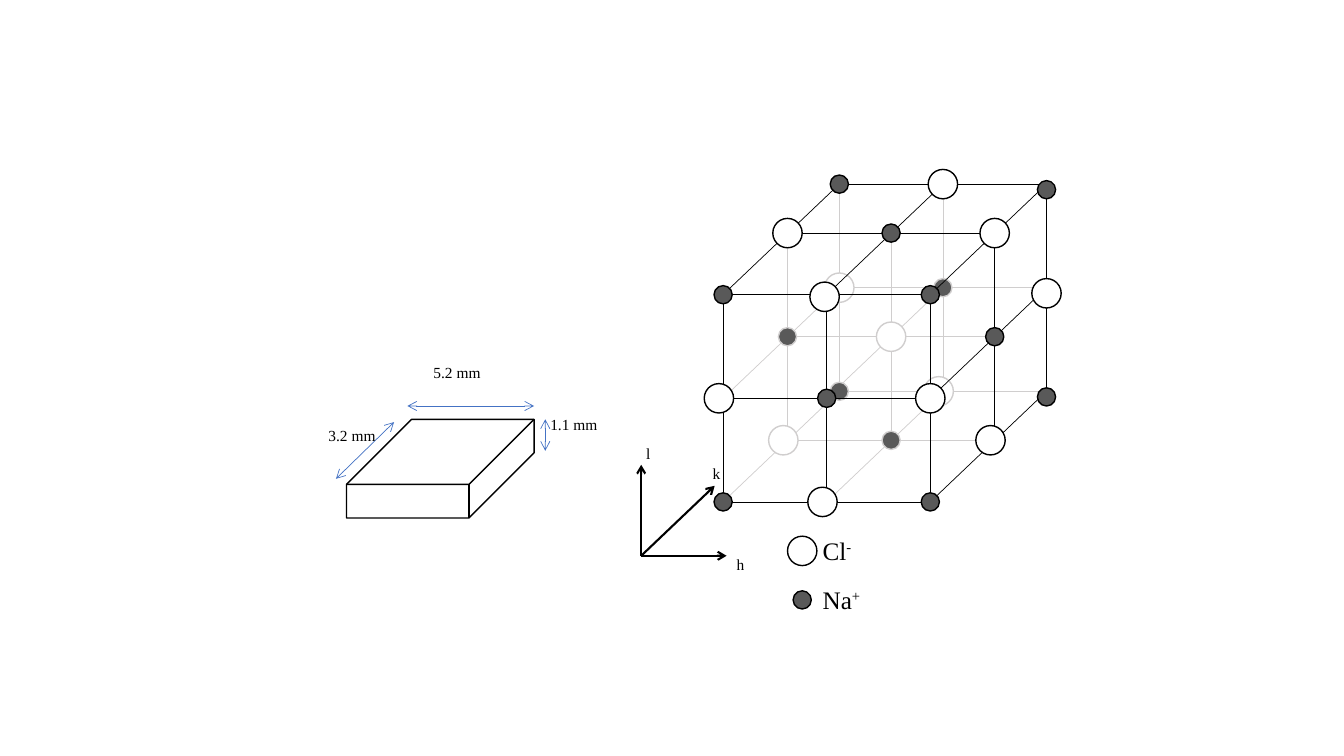
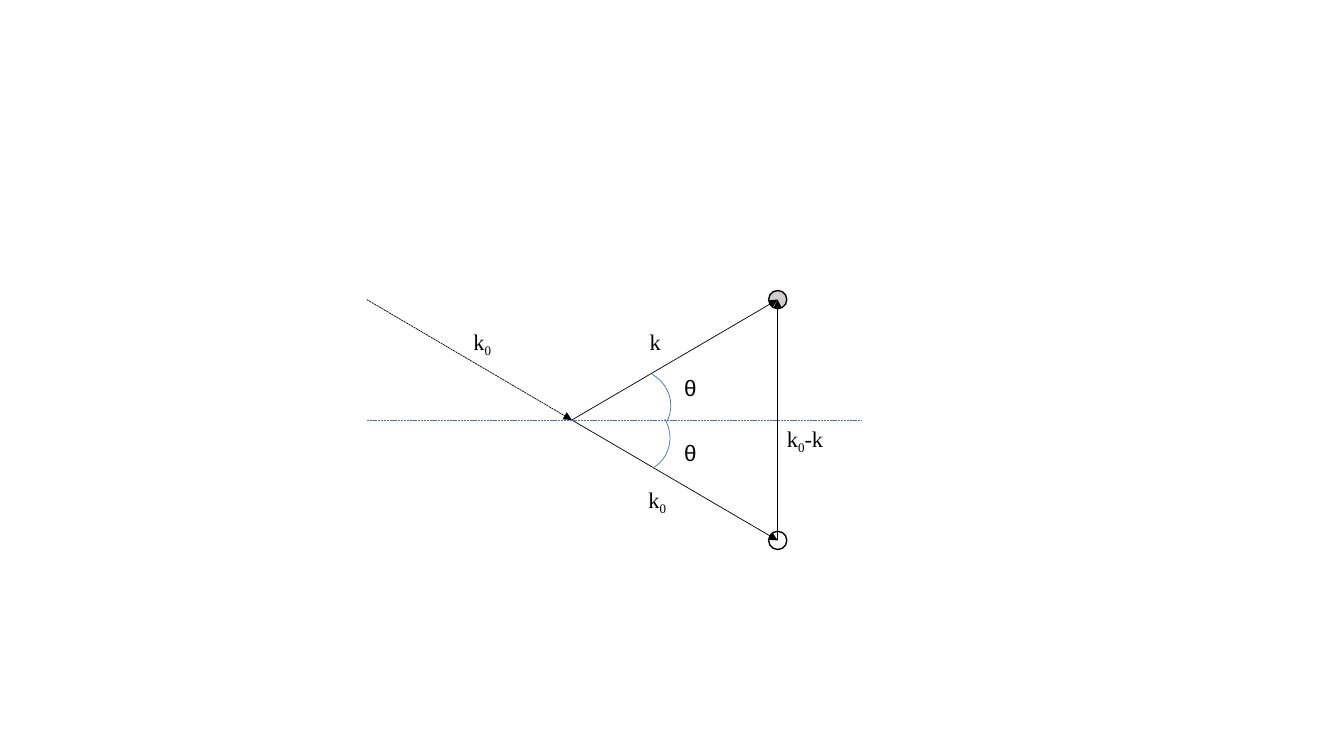
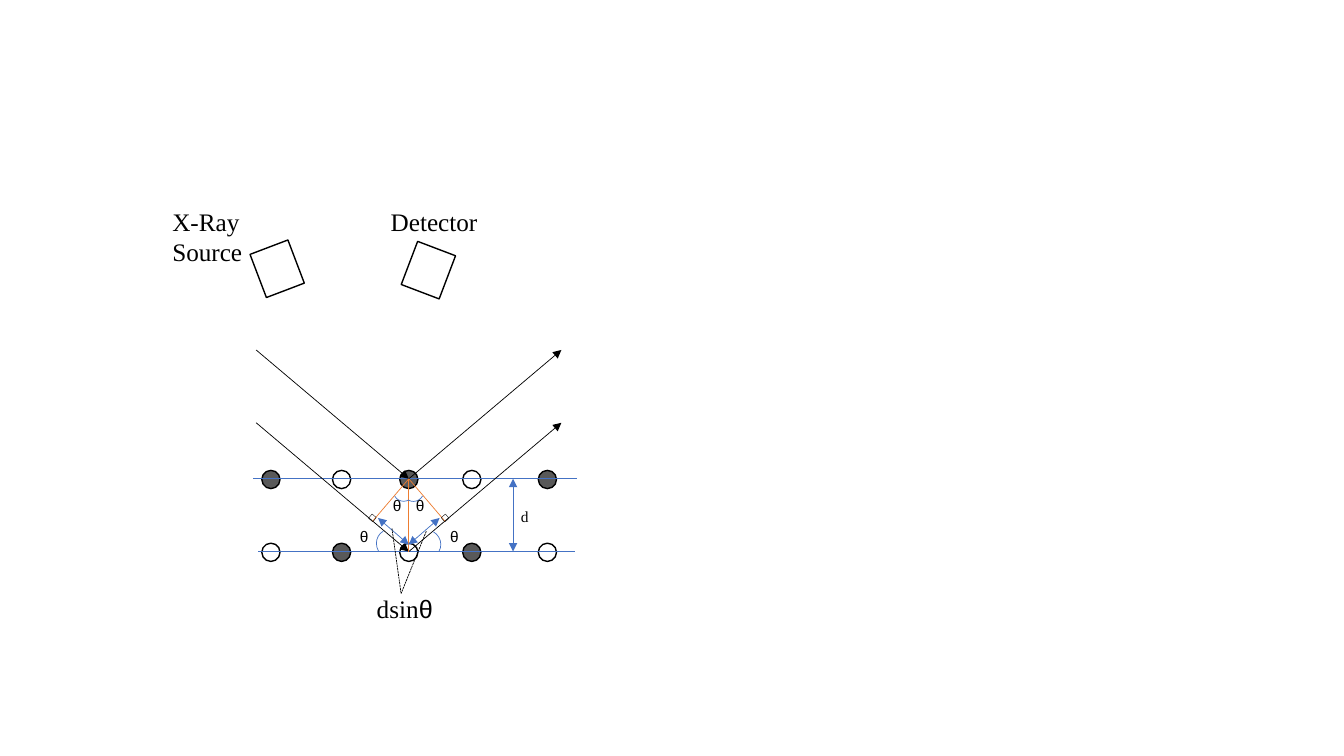
from itertools import product

from lxml import etree
from pptx import Presentation
from pptx.dml.color import RGBColor
from pptx.enum.dml import MSO_LINE
from pptx.enum.shapes import MSO_CONNECTOR, MSO_SHAPE
from pptx.enum.text import MSO_AUTO_SIZE
from pptx.oxml.ns import qn
from pptx.util import Pt

BLACK = RGBColor(0x00, 0x00, 0x00)
WHITE = RGBColor(0xFF, 0xFF, 0xFF)
DARK = RGBColor(0x59, 0x59, 0x59)
FAINT = RGBColor(0xD0, 0xCE, 0xCE)
BLUE = RGBColor(0x44, 0x72, 0xC4)
ORANGE = RGBColor(0xED, 0x7D, 0x31)

STRAIGHT = MSO_CONNECTOR.STRAIGHT
DASHED = MSO_LINE.SQUARE_DOT
CUBE, ELLIPSE, RECT, ARC = (MSO_SHAPE.CUBE, MSO_SHAPE.OVAL,
                            MSO_SHAPE.RECTANGLE, MSO_SHAPE.ARC)
FIT_TEXT = MSO_AUTO_SIZE.SHAPE_TO_FIT_TEXT

SMALL, MEDIUM, LARGE = 11, 16, 18
NA_SIZE, CL_SIZE = 13, 21


class Sketch:
    """Holds the drawing style and the slide being drawn."""

    serif, greek = "Times New Roman", "Arial"
    thin, outline = 0.5, 1

    def __init__(self):
        self.prs = Presentation()
        self.prs.slide_width, self.prs.slide_height = Pt(960), Pt(540)
        self.slide = None

    def new_slide(self):
        self.slide = self.prs.slides.add_slide(self.prs.slide_layouts[6])

    def shape(self, kind, x, y, w, h, fill=None, color=BLACK, width=outline,
              rotation=0):
        shape = self.slide.shapes.add_shape(kind, Pt(x), Pt(y), Pt(w), Pt(h))
        shape.shadow.inherit = False
        shape.rotation = rotation
        if fill is None:
            shape.fill.background()
        else:
            shape.fill.solid()
            shape.fill.fore_color.rgb = fill
        shape.line.color.rgb = color
        shape.line.width = Pt(width)
        return shape

    def ball(self, center, fill, size=NA_SIZE, color=BLACK):
        x, y = center
        self.shape(ELLIPSE, x - size / 2, y - size / 2, size, size, fill, color)

    def arc(self, x, y, w, h, rotation):
        self.shape(ARC, x, y, w, h, color=BLUE, width=self.thin,
                   rotation=rotation)

    def line(self, start, end, color=BLACK, width=thin, head=None, tail=None,
             dashed=False):
        line = self.slide.shapes.add_connector(
            STRAIGHT, *(Pt(v) for v in (*start, *end)))
        line.line.color.rgb = color
        line.line.width = Pt(width)
        if dashed:
            line.line.dash_style = DASHED
        properties = line._element.spPr
        for tag, arrow in (("a:headEnd", head), ("a:tailEnd", tail)):
            if arrow:
                etree.SubElement(properties.get_or_add_ln(), qn(tag), type=arrow)
        etree.SubElement(properties, qn("a:effectLst"))

    def label(self, x, y, w, size, text, *scripts, height=None):
        """Write text, followed by (text, baseline) runs."""
        height = height or size * 1.2 * (text.count("\n") + 1) + 7.2
        box = self.slide.shapes.add_textbox(Pt(x), Pt(y), Pt(w), Pt(height))
        frame = box.text_frame
        frame.word_wrap = True
        frame.auto_size = FIT_TEXT
        frame.text = text
        for script, baseline in scripts:
            run = frame.paragraphs[0].add_run()
            run.text = script
            if baseline:
                run.font._element.set("baseline", str(baseline * 1000))
        for paragraph in frame.paragraphs:
            for run in paragraph.runs:
                run.font.size = Pt(size)
                run.font.name = self.greek if run.text == "θ" else self.serif
                run.font.color.rgb = BLACK


# Rock-salt lattice: node (h, l, k) counts right, down and back
DEPTH = ((0, 0), (46, -44), (83, -79))
NUDGE = {(2, 0, 2): (0, 4), (2, 1, 2): (0, 4), (2, 2, 2): (0, 4),
         (0, 1, 0): (-3, 0), (1, 0, 0): (-1.5, 1.5), (1, 2, 0): (-3, 0),
         (0, 2, 1): (-3, 0), (2, 2, 1): (-3, 0), (1, 2, 2): (-3, 0)}


def node(h, l, k):
    dx, dy = DEPTH[k]
    return 516.5 + 74 * h + dx, 210.5 + 74 * l + dy


def is_hidden(h, l, k):
    return h < 2 and l > 0 and k > 0


def draw_lattice(sketch):
    edges = []
    for axis, a, b in product(range(3), repeat=3):
        edges.append([(a, b)[:axis] + (step,) + (a, b)[axis:]
                      for step in range(3)])
    nodes = sorted(product(range(3), repeat=3), key=lambda n: -n[2])
    for hidden in (True, False):
        color = FAINT if hidden else BLACK
        for start, middle, end in edges:
            if is_hidden(*middle) == hidden:
                sketch.line(node(*start), node(*end), color)
        for ion in nodes:
            if is_hidden(*ion) == hidden:
                (x, y), (dx, dy) = node(*ion), NUDGE.get(ion, (0, 0))
                fill, size = ((WHITE, CL_SIZE) if sum(ion) % 2
                              else (DARK, NA_SIZE))
                sketch.ball((x + dx, y + dy), fill, size, color)


def crystal_slide(sketch):
    sketch.new_slide()
    # Crystal with its measures
    crystal = sketch.shape(CUBE, 247.5, 299.5, 134, 70.5)
    crystal.adjustments[0] = 0.66
    for start, end, text, x, y in (
            ((389.5, 322), (389.5, 299.5), "1.1 mm", 386, 293),
            ((381.5, 290), (291, 290), "5.2 mm", 302.5, 255.5),
            ((281.5, 301.5), (240, 342), "3.2 mm", 227.5, 301)):
        sketch.line(start, end, BLUE, head="arrow", tail="arrow")
        sketch.label(x, y, 96.5, SMALL, text, height=35)
    # Axes
    for tip, text, x, y in (((519, 397), "h", 519, 393),
                            ((510.5, 347), "k", 502, 328),
                            ((458, 332), "l", 454.5, 314)):
        sketch.line((458, 397), tip, width=1.5, tail="arrow")
        sketch.label(x, y, 68, SMALL, text)
    draw_lattice(sketch)
    # Legend
    for y, fill, size, ion, charge in ((393.5, WHITE, CL_SIZE, "Cl", "-"),
                                       (428.5, DARK, NA_SIZE, "Na", "+")):
        sketch.ball((573, y), fill, size)
        sketch.label(580.5, y - 15, 81, LARGE, ion, (charge, 30))


def wave_vector_slide(sketch):
    sketch.new_slide()
    origin, scattered, incident = (408.5, 300), (555.5, 214), (555.5, 386)
    sketch.ball(scattered, FAINT)
    sketch.ball(incident, WHITE)
    # Vectors and mirror plane
    sketch.line((262, 214), origin, tail="triangle", dashed=True)
    for start, end in ((origin, incident), (incident, scattered),
                       (origin, scattered)):
        sketch.line(start, end, tail="triangle")
    sketch.line((262, 300), (616, 300), BLUE, dashed=True)
    # Angles
    for arc_y, rotation, theta_y in ((287, 60, 310), (264, 30, 264)):
        sketch.arc(427.5, arc_y, 52, 49.5, rotation)
        sketch.label(481.5, theta_y, 68, MEDIUM, "θ")
    # Vector names
    zero = ("0", -25)
    for x, y, *scripts in ((331, 230.5, zero), (456, 343.5, zero),
                           (457, 230.5), (555, 300, zero, ("-k", 0))):
        sketch.label(x, y, 68, MEDIUM, "k", *scripts)


def bragg_slide(sketch):
    sketch.new_slide()
    center, upper, lower = 292, 342, 394
    top, bottom = (center, upper), (center, lower)
    # Lattice planes
    for row, y in enumerate((upper, lower)):
        for column, x in enumerate((193.5, 244, center, 337, 391)):
            sketch.ball((x, y + 0.5), WHITE if (row + column) % 2 else DARK)
    sketch.line((181, upper), (412, upper), BLUE)
    sketch.line((184.5, lower), (410.5, lower), BLUE)
    # Source and detector
    sketch.label(116, 143.5, 67, LARGE, "X-Ray\nSource")
    sketch.label(272, 144, 81, LARGE, "Detector")
    sketch.shape(RECT, 183.5, 175.5, 29, 33, WHITE, rotation=339.2)
    sketch.shape(RECT, 291.5, 176.5, 29, 33, WHITE, rotation=20.8)
    # Beams
    for y in (upper, lower):
        sketch.line((center - 109, y - 92), (center, y), tail="triangle")
        sketch.line((center, y), (center + 109, y - 92), tail="triangle")
    # Path difference, mirrored about the centre
    sketch.line(bottom, top, ORANGE)
    for side in (-1, 1):
        sketch.line((center + 26 * side, 372.5), top, ORANGE)
        sketch.shape(RECT, center + 26 * side - 2, 368, 4, 4, width=0.25,
                     rotation=-40.2 * side % 360)
        sketch.line((center + 22 * side, 370), (center, 389), BLUE,
                    head="triangle", tail="triangle")
    # Angles
    for x, y, w, h, rotation in ((268.5, 378.5, 21, 20, 240),
                                 (294, 378.5, 21, 20, 30),
                                 (288, 343.5, 15, 14.5, 119.5),
                                 (281, 343.5, 15, 14.5, 150.5)):
        sketch.arc(x, y, w, h, rotation)
    for x, y in ((273.5, 350.5), (290, 350.5), (250, 373), (314.5, 373)):
        sketch.label(x, y, 47, SMALL, "θ")
    # Pointers to the path difference
    for start in ((304.5, 379.5), (280, 377.5)):
        sketch.line(start, (286.5, 424), dashed=True)
    sketch.label(262, 420, 68, LARGE, "dsin", ("θ", 0))
    # Plane spacing
    sketch.line((366.5, upper), (366.5, lower), BLUE,
                head="triangle", tail="triangle")
    sketch.label(365, 358.5, 47, SMALL, "d")


def main():
    sketch = Sketch()
    crystal_slide(sketch)
    wave_vector_slide(sketch)
    bragg_slide(sketch)
    sketch.prs.save("out.pptx")


if __name__ == "__main__":
    main()
